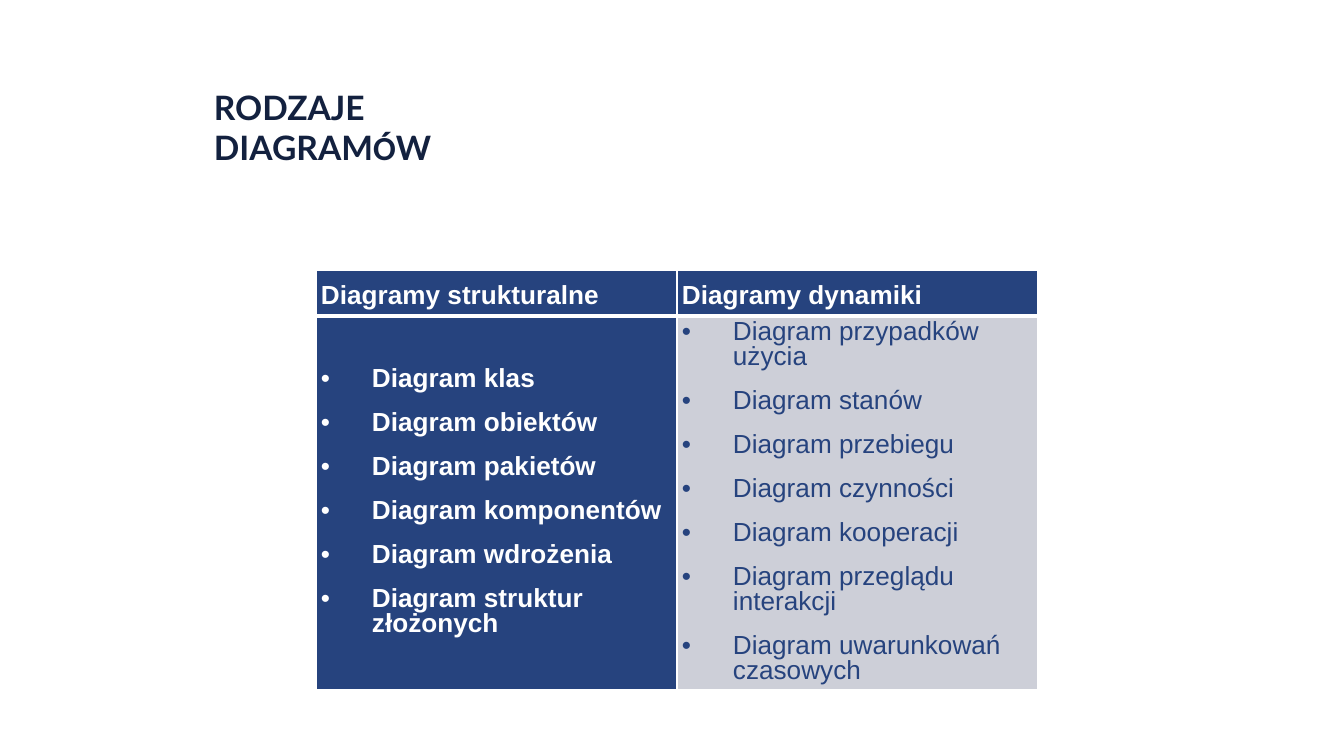
import pptx
import pptx.util
import pptx.dml.color
import pptx.enum.text
import pptx.oxml.ns
import lxml.etree

SCALE = 914400 / 134.4  # EMU in one px
NAVY, GREY, WHITE, DARK = "26437E", "CDCFD8", "FFFFFF", "13213F"


def px(count):
    return pptx.util.Emu(round(count * SCALE))


def color(code):
    return pptx.dml.color.RGBColor.from_string(code)


def add(parent, tag, **attrs):
    node = lxml.etree.SubElement(parent, pptx.oxml.ns.qn(tag))
    for name, value in attrs.items():
        node.set(name, str(value))
    return node


class Deck:
    font = "Arial"
    size = 14

    def __init__(self, wide, high):
        self.file = pptx.Presentation()
        self.file.slide_width, self.file.slide_height = px(wide), px(high)
        self.slide = self.file.slides.add_slide(self.file.slide_layouts[5])

    def run(self, para, text, ink, bold, font=None, size=None):
        run = para.add_run()
        run.text = text
        run.font.name = font or self.font
        run.font.size = pptx.util.Pt(size or self.size)
        run.font.bold = bold
        run.font.color.rgb = color(ink)

    def title(self, box, lines):
        shape = self.slide.shapes.title
        shape.left, shape.top, shape.width, shape.height = map(px, box)
        frame = shape.text_frame
        frame.word_wrap = True
        frame.auto_size = pptx.enum.text.MSO_AUTO_SIZE.NONE
        frame.vertical_anchor = pptx.enum.text.MSO_ANCHOR.MIDDLE
        frame.margin_left = frame.margin_right = px(10)
        # The deeper lower margin lifts the text
        frame.margin_top, frame.margin_bottom = px(5), px(35)
        para = frame.paragraphs[0]
        para.alignment = pptx.enum.text.PP_ALIGN.LEFT
        for index, line in enumerate(lines):
            if index:
                para.add_line_break()
            for text, font in line:
                self.run(para, text, DARK, True, font, 18)

    def table(self, left, top, cols, rows):
        frame = self.slide.shapes.add_table(
            len(rows), len(cols), px(left), px(top), px(sum(cols)), px(sum(rows)))
        for col, wide in zip(frame.table.columns, cols):
            col.width = px(wide)
        for row, high in zip(frame.table.rows, rows):
            row.height = px(high)
        return frame.table

    def cell(self, cell, fill, base):
        cell.vertical_anchor = pptx.enum.text.MSO_ANCHOR.MIDDLE
        cell.margin_left = cell.margin_right = px(5)
        cell.margin_top = cell.margin_bottom = px(5)
        props = cell._tc.get_or_add_tcPr()
        # Borders come before the fill
        for side in "LRTB":
            width = base if side == "B" else 1
            line = add(props, f"a:ln{side}", w=pptx.util.Pt(width))
            add(add(line, "a:solidFill"), "a:srgbClr", val=WHITE)
        cell.fill.solid()
        cell.fill.fore_color.rgb = color(fill)

    def head(self, cell, text):
        self.cell(cell, NAVY, 3)
        para = cell.text_frame.paragraphs[0]
        para.line_spacing = 1.15
        self.run(para, text, WHITE, True)

    def list(self, cell, items, fill, ink, bold):
        self.cell(cell, fill, 1)
        frame = cell.text_frame
        for index, item in enumerate(items):
            para = frame.add_paragraph() if index else frame.paragraphs[0]
            para.line_spacing = pptx.util.Pt(13.5)
            para.space_after = pptx.util.Pt(10)
            props = para._p.get_or_add_pPr()
            props.set("marL", str(px(51)))
            props.set("indent", str(px(-51)))
            add(props, "a:buFont", typeface=self.font)
            add(props, "a:buChar", char="•")
            self.run(para, item, ink, bold)


def main():
    deck = Deck(1344, 756)

    # Title
    deck.title((204, 101, 371, 82), [
        [("RODZAJE", "Lato")],
        [("DIAGRAM", "Lato"), ("Ó", "Calibri"), ("W", "Lato")],
    ])

    # Table of diagram kinds
    table = deck.table(316, 270, (361, 361), (46, 374))
    deck.head(table.cell(0, 0), "Diagramy strukturalne")
    deck.head(table.cell(0, 1), "Diagramy dynamiki")
    deck.list(table.cell(1, 0), [
        "Diagram klas",
        "Diagram obiektów",
        "Diagram pakietów",
        "Diagram komponentów",
        "Diagram wdrożenia",
        "Diagram struktur złożonych",
    ], NAVY, WHITE, True)
    deck.list(table.cell(1, 1), [
        "Diagram przypadków użycia",
        "Diagram stanów",
        "Diagram przebiegu",
        "Diagram czynności",
        "Diagram kooperacji",
        "Diagram przeglądu interakcji",
        "Diagram uwarunkowań czasowych",
    ], GREY, NAVY, False)

    deck.file.save("out.pptx")


if __name__ == "__main__":
    main()
